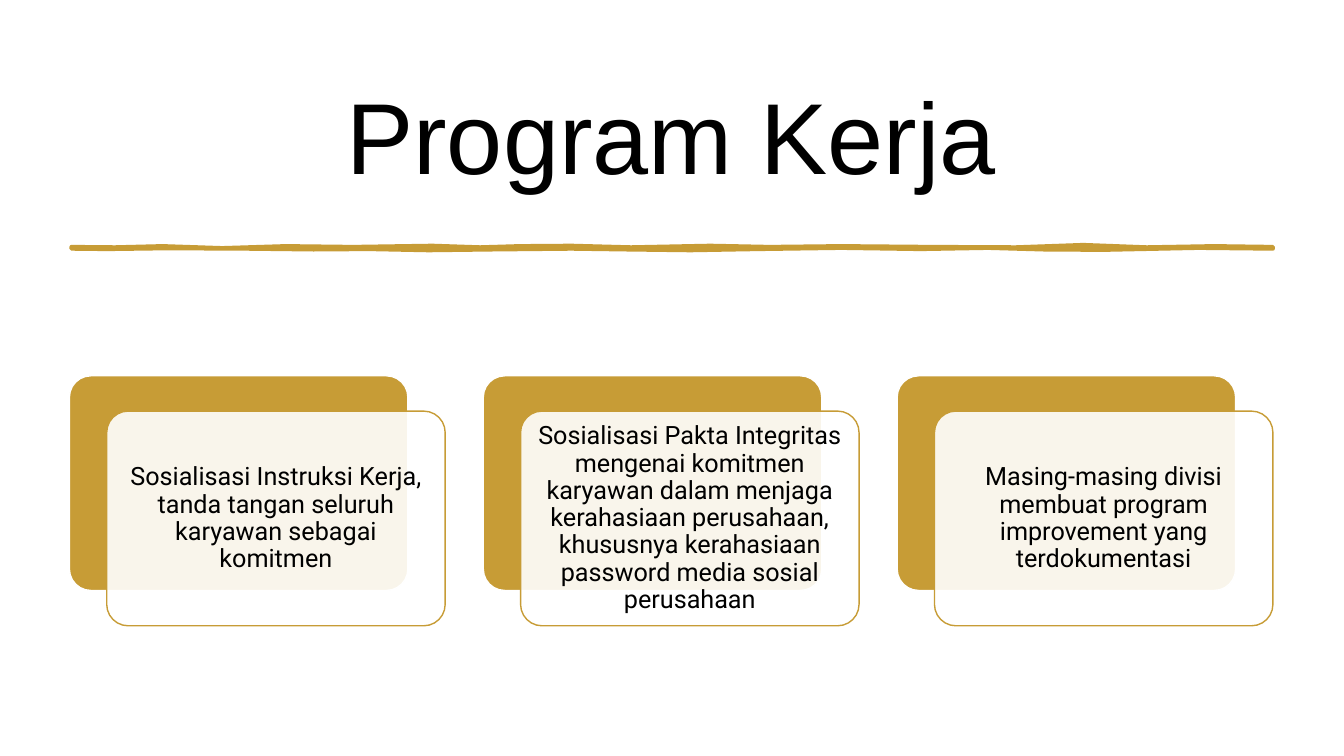
from dataclasses import dataclass

from lxml.etree import SubElement
from pptx import Presentation
from pptx.dml.color import RGBColor
from pptx.enum.shapes import MSO_SHAPE
from pptx.enum.text import MSO_ANCHOR, MSO_AUTO_SIZE, PP_ALIGN
from pptx.oxml.ns import qn
from pptx.shapes.autoshape import Shape
from pptx.slide import Slide
from pptx.text.text import TextFrame
from pptx.util import Cm, Pt

COLORS = {"gold": "C79C36", "white": "FFFFFF", "black": "000000"}


@dataclass
class Panel:
    left: float
    top: float
    fill: str
    line: str
    alpha: int = 100


@dataclass
class Style:
    font: str
    size: int
    inset: float
    space: float


HEAD = Style("Arial", 72, 0.25, 0.9)
BODY = Style("Roboto", 18, 0.18, 0.9)

LEFT, TOP = 1.75, 9.47
WIDTH, HEIGHT = 8.53, 5.41
PITCH = 10.43
SHIFT_X, SHIFT_Y = 0.94, 0.89

TASKS = [
    "Sosialisasi Instruksi Kerja, tanda tangan seluruh karyawan sebagai komitmen",
    "Sosialisasi Pakta Integritas mengenai komitmen karyawan dalam menjaga "
    "kerahasiaan perusahaan, khususnya kerahasiaan password media sosial perusahaan",
    "Masing-masing divisi membuat program improvement yang terdokumentasi",
]

UPPER = [
    (1.8, 6.22), (2.9, 6.23), (4.1, 6.2), (5.6, 6.25), (7.2, 6.2),
    (8.9, 6.22), (10.9, 6.19), (12.1, 6.23), (13.1, 6.2), (14.4, 6.19),
    (15.9, 6.23), (17.9, 6.19), (19.4, 6.22), (21.2, 6.2), (23.5, 6.22),
    (25.6, 6.23), (27.3, 6.17), (28.9, 6.23), (30.6, 6.2), (32.08, 6.22),
]
LOWER = [
    (32.08, 6.27), (30.2, 6.25), (27.8, 6.3), (26.3, 6.29), (24.9, 6.25),
    (23.2, 6.28), (21.2, 6.25), (19.1, 6.28), (17.4, 6.31), (15.8, 6.29),
    (14.4, 6.27), (12.4, 6.29), (10.8, 6.31), (9.3, 6.28), (7.9, 6.29),
    (6.2, 6.27), (4.2, 6.26), (2.7, 6.28), (1.8, 6.27),
]


def color(name: str) -> RGBColor:
    return RGBColor.from_string(COLORS[name])


def paint(shape: Shape, fill: str, line: str, width: float) -> None:
    shape.shadow.inherit = False
    shape.fill.solid()
    shape.fill.fore_color.rgb = color(fill)
    shape.line.color.rgb = color(line)
    shape.line.width = Pt(width)


def write(frame: TextFrame, text: str, style: Style) -> None:
    frame.text = text
    frame.word_wrap = True
    frame.auto_size = MSO_AUTO_SIZE.NONE
    frame.vertical_anchor = MSO_ANCHOR.MIDDLE
    frame.margin_left = frame.margin_right = Cm(style.inset)
    frame.margin_top = frame.margin_bottom = Cm(0.18)
    para = frame.paragraphs[0]
    para.alignment = PP_ALIGN.CENTER
    para.line_spacing = style.space
    font = para.runs[0].font
    font.name = style.font
    font.size = Pt(style.size)
    font.color.rgb = color("black")


def draw(slide: Slide, panel: Panel) -> Shape:
    shape = slide.shapes.add_shape(
        MSO_SHAPE.ROUNDED_RECTANGLE,
        Cm(panel.left), Cm(panel.top), Cm(WIDTH), Cm(HEIGHT),
    )
    shape.adjustments[0] = 0.1
    paint(shape, panel.fill, panel.line, 1)
    if panel.alpha < 100:
        tint = shape.element.spPr.find(qn("a:solidFill"))[0]
        SubElement(tint, qn("a:alpha")).set("val", str(panel.alpha * 1000))
    return shape


def brush(slide: Slide) -> None:
    first, *rest = [(Cm(x), Cm(y)) for x, y in UPPER + LOWER]
    pen = slide.shapes.build_freeform(*first)
    pen.add_line_segments(rest, close=True)
    paint(pen.convert_to_shape(), "gold", "gold", 2.75)


deck = Presentation()
deck.slide_width, deck.slide_height = Cm(33.87), Cm(19.05)
slide = deck.slides.add_slide(deck.slide_layouts[5])

title = slide.shapes.title
title.left, title.top = Cm(LEFT), Cm(1.75)
title.width, title.height = Cm(30.33), Cm(3.66)
write(title.text_frame, "Program Kerja", HEAD)
brush(slide)

for index, task in enumerate(TASKS):
    left = LEFT + index * PITCH
    draw(slide, Panel(left, TOP, "gold", "white"))
    front = draw(slide, Panel(left + SHIFT_X, TOP + SHIFT_Y, "white", "gold", 90))
    write(front.text_frame, task, BODY)

deck.save("out.pptx")
